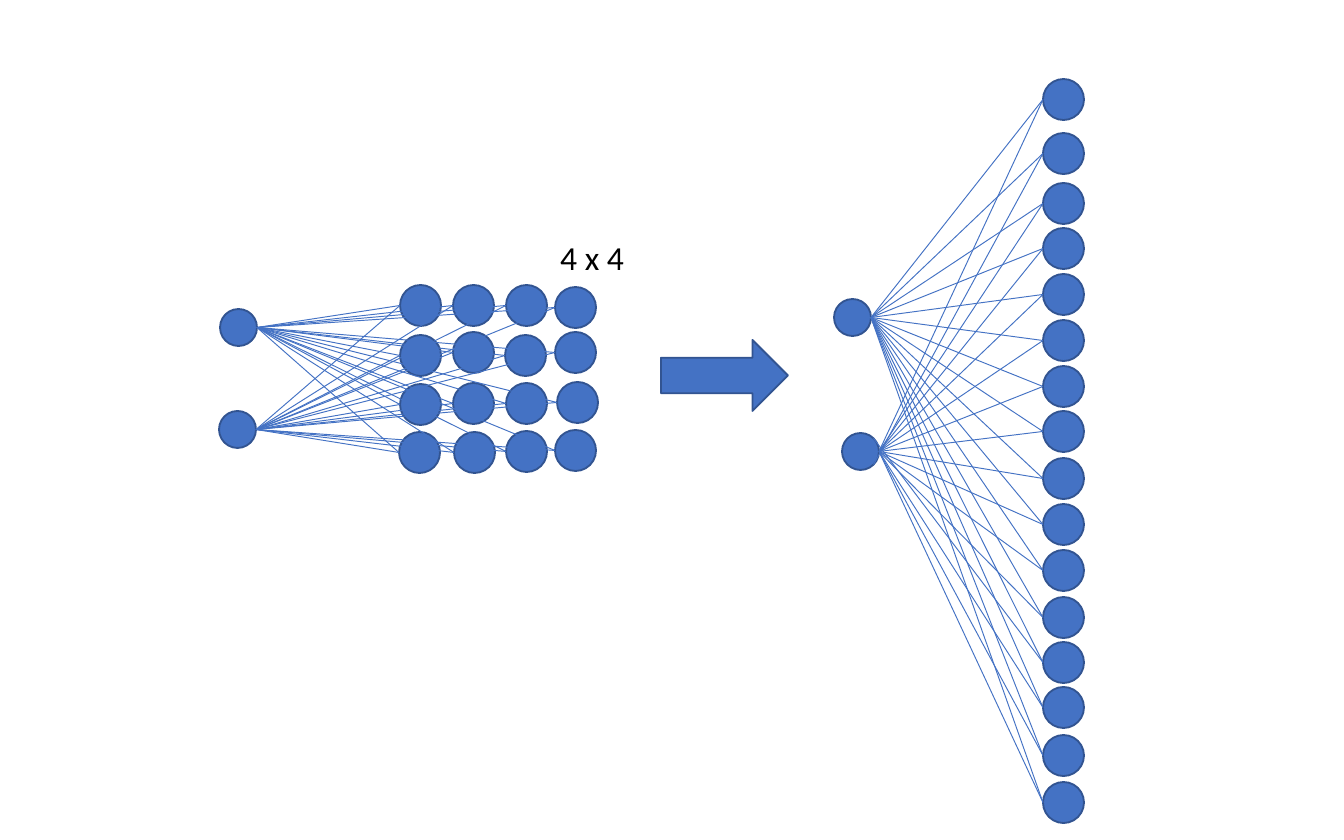
from math import cos, radians, sin

from lxml import etree
from pptx import Presentation, util as u
from pptx.dml.color import RGBColor
from pptx.enum import shapes, text
from pptx.oxml.ns import qn

PX = 914400 / 134.4
COLORS = {"node": "4472C4", "outline": "325491", "text": "000000"}
INPUT_SIZE, OUTPUT_SIZE = 37, 41

# Left and top of every node, in px
GRID_INPUTS = [(220, 309), (219, 411)]
GRID_OUTPUTS = [
    (400, 285), (453, 285), (506, 285), (555, 287),
    (400, 335), (453, 332), (505, 335), (555, 332),
    (400, 384), (453, 383), (506, 383), (557, 382),
    (399, 432), (454, 432), (506, 431), (555, 430),
]
COLUMN_INPUTS = [(834, 299), (842, 433)]
COLUMN_TOPS = [79, 133, 183, 228, 274, 320, 366, 411,
               458, 504, 550, 597, 642, 687, 735, 782]
COLUMN_OUTPUTS = [(1043, top) for top in COLUMN_TOPS]
# (input, output): angle in degrees where the link leaves the input node
COLUMN_ANGLES = {(1, 1): 45, (1, 12): -45}

LABEL = ("4 x 4", 547, 230, 91, 54)
ARROW = (661, 340, 127, 71)


def px(*values):
    return [u.Emu(round(v * PX)) for v in values]


def rgb(name):
    return RGBColor.from_string(COLORS[name])


def add_filled(parent, kind, *box):
    s = parent.shapes.add_shape(kind, *px(*box))
    s.shadow.inherit = False
    s.fill.solid()
    s.fill.fore_color.rgb = rgb("node")
    s.line.color.rgb = rgb("outline")
    s.line.width = u.Pt(1)


def add_link(parent, start, end):
    line = parent.shapes.add_connector(shapes.MSO_CONNECTOR.STRAIGHT,
                                       *px(*start, *end))
    line.line.color.rgb = rgb("node")
    line.line.width = u.Pt(0.5)
    etree.SubElement(line._element.spPr, qn("a:effectLst"))


def rim_point(corner, size, angle):
    """Point on a node's edge; angles run clockwise from the right."""
    r = size / 2
    return (corner[0] + r + r * cos(radians(angle)),
            corner[1] + r + r * sin(radians(angle)))


def add_network(slide, inputs, outputs, angles):
    group = slide.shapes.add_group_shape()
    for nodes, size in ((inputs, INPUT_SIZE), (outputs, OUTPUT_SIZE)):
        for x, y in nodes:
            add_filled(group, shapes.MSO_SHAPE.OVAL, x, y, size, size)
    for i, source in enumerate(inputs):
        for j, target in enumerate(outputs):
            add_link(group,
                     rim_point(source, INPUT_SIZE, angles.get((i, j), 0)),
                     rim_point(target, OUTPUT_SIZE, 180))


def add_label(slide, caption, *box):
    tf = slide.shapes.add_textbox(*px(*box)).text_frame
    tf.word_wrap = False
    tf.auto_size = text.MSO_AUTO_SIZE.SHAPE_TO_FIT_TEXT
    tf.text = caption
    font = tf.paragraphs[0].runs[0].font
    font.name, font.size = "Calibri", u.Pt(18)
    font.color.rgb = rgb("text")


def main():
    prs = Presentation()
    prs.slide_width, prs.slide_height = px(1344, 840)
    slide = prs.slides.add_slide(prs.slide_layouts[6])
    add_network(slide, GRID_INPUTS, GRID_OUTPUTS, {})
    add_network(slide, COLUMN_INPUTS, COLUMN_OUTPUTS, COLUMN_ANGLES)
    add_label(slide, *LABEL)
    add_filled(slide, shapes.MSO_SHAPE.RIGHT_ARROW, *ARROW)
    prs.save("out.pptx")


if __name__ == "__main__":
    main()
